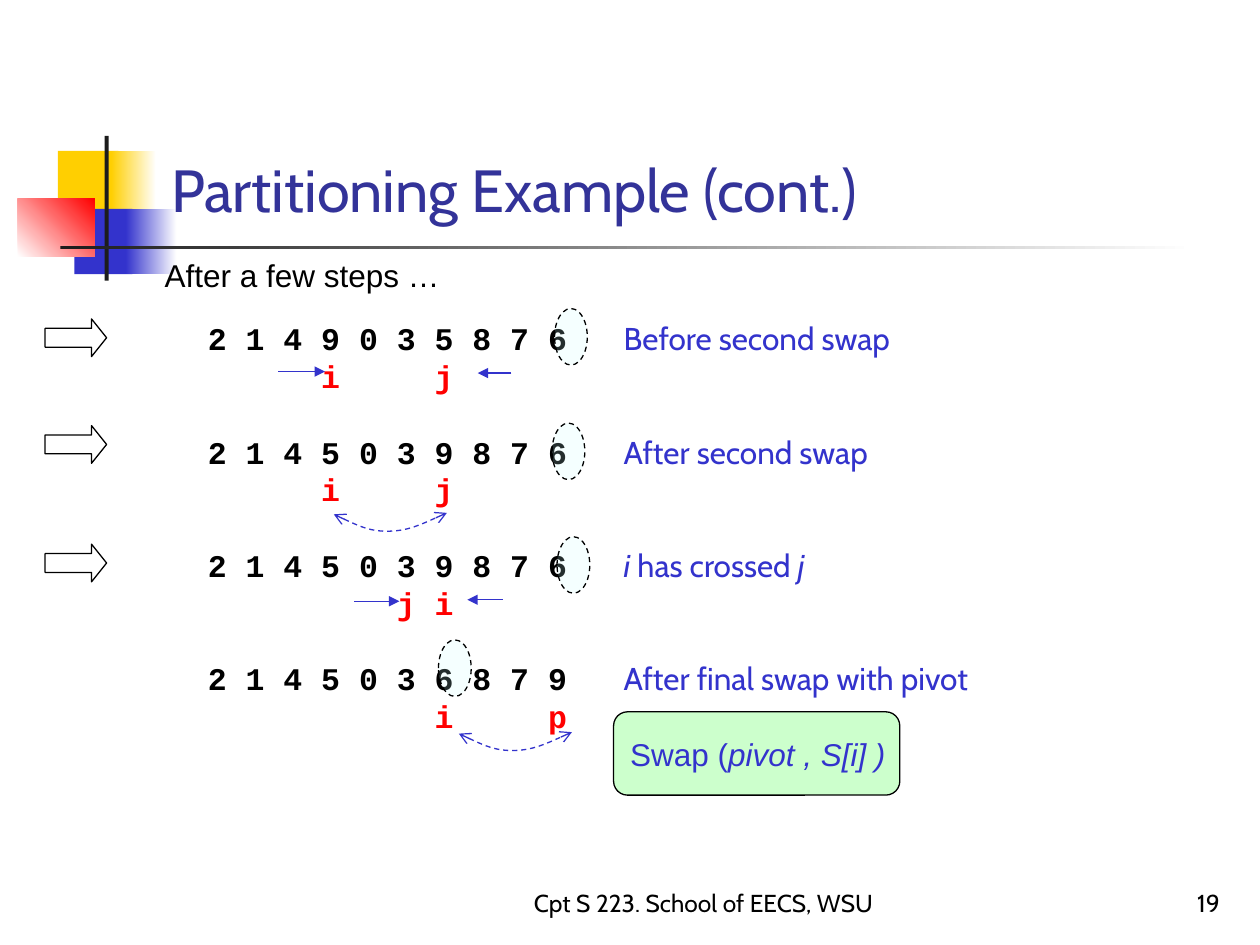
from lxml import etree
from pptx import Presentation
from pptx.dml.color import RGBColor
from pptx.enum.dml import MSO_LINE
from pptx.enum.shapes import MSO_CONNECTOR, MSO_SHAPE
from pptx.enum.text import MSO_ANCHOR, PP_ALIGN
from pptx.oxml.ns import qn
from pptx.util import Cm, Pt

BLACK = RGBColor(0x00, 0x00, 0x00)
WHITE = RGBColor(0xFF, 0xFF, 0xFF)
INK = RGBColor(0x1C, 0x1C, 0x1C)
YELLOW = RGBColor(0xFF, 0xCF, 0x01)
RED = RGBColor(0xFF, 0x00, 0x00)
BLUE = RGBColor(0x33, 0x33, 0xCC)
NAVY = RGBColor(0x33, 0x33, 0x99)
AQUA = RGBColor(0xCC, 0xFF, 0xFF)
GREEN = RGBColor(0xCC, 0xFF, 0xCC)

COLUMN = 0.762   # one digit and its space, Courier New 18 pt
CAPTION = 11 * COLUMN
ROW = 2.29
LINE = Pt(21.6)

# digits, caption runs (text, italic), markers (column, letter),
# ellipse offset, row arrow drop, pointers (from x, to x, y), swap curve offset
STEPS = [
    ("2 1 4 9 0 3 5 8 7 6", [("Before second swap", False)], [(3, "i"), (6, "j")],
     (7.24, 0), 0.21, [(1.67, 2.61, 1.27), (6.37, 5.69, 1.3)], None),
    ("2 1 4 5 0 3 9 8 7 6", [("After second swap", False)], [(3, "i"), (6, "j")],
     (7.19, 0.02), 0.07, [], (2.79, 1.83)),
    ("2 1 4 5 0 3 9 8 7 6", [("i ", True), ("has crossed ", False), ("j", True)],
     [(5, "j"), (6, "i")],
     (7.29, 0.02), 0.17, [(6.19, 5.48, 1.29), (3.2, 4.11, 1.32)], None),
    ("2 1 4 5 0 3 6 8 7 9", [("After final swap with pivot", False)], [(6, "i"), (9, "p")],
     (4.9, -0.19), None, [], (5.31, 1.67)),
]
# Bezier points of a swap curve: start, then two groups of three
CURVE = [(0, 0.03), (0.36, 0.2), (0.73, 0.38), (1.12, 0.37),
         (1.5, 0.36), (1.88, 0.18), (2.28, 0)]


def set_font(font, name, size, color, bold=False):
    font.name, font.size, font.bold = name, Pt(size), bold
    font.color.rgb = color


def add_box(s, x, y, w, h, shape=MSO_SHAPE.RECTANGLE, fill=None, line=None):
    sp = s.shapes.add_shape(shape, Cm(x), Cm(y), Cm(w), Cm(h))
    sp.shadow.inherit = False
    if fill is None:
        sp.fill.background()
    else:
        sp.fill.solid()
        sp.fill.fore_color.rgb = fill
    if line is None:
        sp.line.fill.background()
    else:
        sp.line.color.rgb = line
        sp.line.width = Pt(0.75)
    return sp


def add_gradient(s, x, y, w, h, start, end, angle=0):
    sp = add_box(s, x, y, w, h)
    sp.fill.gradient()
    sp.fill.gradient_angle = angle
    for stop, color in zip(sp.fill.gradient_stops, (start, end)):
        stop.color.rgb = color


def add_text(s, x, y, w, h, text, name, size, color,
             anchor=MSO_ANCHOR.BOTTOM, align=PP_ALIGN.LEFT):
    tf = s.shapes.add_textbox(Cm(x), Cm(y), Cm(w), Cm(h)).text_frame
    tf.word_wrap = True
    tf.vertical_anchor = anchor
    p = tf.paragraphs[0]
    p.text, p.alignment = text, align
    set_font(p.font, name, size, color)


def set_tabs(p, stops):
    tabs = etree.Element(qn("a:tabLst"))
    for stop in stops:
        etree.SubElement(tabs, qn("a:tab"), pos=str(Cm(stop)), algn="l")
    p._p.get_or_add_pPr().append(tabs)


def add_ends(sp, **ends):
    ln = sp.line._get_or_add_ln()
    for tag in ("headEnd", "tailEnd"):
        if tag in ends:
            etree.SubElement(ln, qn("a:" + tag), type=ends[tag])


def add_pointer(s, x1, x2, y):
    c = s.shapes.add_connector(MSO_CONNECTOR.STRAIGHT, Cm(x1), Cm(y), Cm(x2), Cm(y))
    c.line.color.rgb = BLUE
    c.line.width = Pt(0.75)
    add_ends(c, tailEnd="triangle")
    etree.SubElement(c._element.spPr, qn("a:effectLst"))


def add_swap_curve(s, x, y):
    points = [(Cm(x + dx), Cm(y + dy)) for dx, dy in CURVE]
    builder = s.shapes.build_freeform(*points[0])
    builder.add_line_segments(points[1:], close=False)
    sp = builder.convert_to_shape()
    # Join each three points into one cubic segment
    lines = list(sp._element.iter(qn("a:lnTo")))
    for i in range(0, len(lines), 3):
        cubic = etree.Element(qn("a:cubicBezTo"))
        lines[i].addprevious(cubic)
        for segment in lines[i:i + 3]:
            cubic.append(segment[0])
            segment.getparent().remove(segment)
    sp.shadow.inherit = False
    sp.fill.background()
    sp.line.color.rgb = BLUE
    sp.line.width = Pt(0.75)
    sp.line.dash_style = MSO_LINE.DASH
    add_ends(sp, headEnd="arrow", tailEnd="arrow")


def add_pivot_ring(s, x, y):
    sp = add_box(s, x, y, 0.66, 1.14, MSO_SHAPE.OVAL, AQUA, BLACK)
    sp.line.dash_style = MSO_LINE.DASH
    color = sp._element.spPr.find(qn("a:solidFill"))[0]
    etree.SubElement(color, qn("a:alpha"), val="18000")


def add_ornament(s, x, y):
    """Coloured squares with the crossing rules."""
    add_box(s, x + 0.81, y + 0.3, 1.22, 1.32, fill=YELLOW)
    add_gradient(s, x + 1.88, y + 0.3, 0.91, 1.32, YELLOW, WHITE)
    add_box(s, x + 1.14, y + 1.47, 1.17, 1.32, fill=BLUE)
    add_gradient(s, x + 2.18, y + 1.47, 1.02, 1.32, BLUE, WHITE)
    add_gradient(s, x, y + 1.27, 1.55, 1.17, WHITE, RED, 45)
    add_box(s, x + 1.75, y, 0.08, 2.92, fill=INK)
    add_gradient(s, x + 0.86, y + 2.21, 22.86, 0.08, INK, WHITE)


def add_steps(s, x, y, w, h):
    """Digits, captions and markers, then the shapes around each row."""
    tf = s.shapes.add_textbox(Cm(x), Cm(y + 0.09), Cm(w), Cm(h)).text_frame
    tf.word_wrap = True
    for i, (digits, caption, markers, *_) in enumerate(STEPS):
        p = tf.add_paragraph() if i else tf.paragraphs[0]
        p.line_spacing = LINE
        p.space_before = LINE if i else Pt(0)
        set_tabs(p, [CAPTION])
        r = p.add_run()
        r.text = digits + "\t"
        set_font(r.font, "Courier New", 18, BLACK, True)
        for text, italic in caption:
            r = p.add_run()
            r.text = text
            set_font(r.font, "Cabin", 18, BLUE)
            r.font.italic = italic

        p = tf.add_paragraph()
        p.line_spacing = LINE
        set_tabs(p, [column * COLUMN for column, _ in markers])
        p.add_run().text = "".join("\t" + letter for _, letter in markers)
        set_font(p.font, "Courier New", 18, RED, True)

    for i, (_, _, _, ring, drop, pointers, swap) in enumerate(STEPS):
        top = y + i * ROW
        for x1, x2, dy in pointers:
            add_pointer(s, x + x1, x + x2, top + dy)
        if drop is not None:
            arrow = add_box(s, x - 3.03, top + drop, 1.24, 0.76,
                            MSO_SHAPE.RIGHT_ARROW, line=BLACK)
            arrow.adjustments[1] = 0.4
        add_pivot_ring(s, x + ring[0], top + ring[1])
        if swap:
            add_swap_curve(s, x + swap[0], top + swap[1])


def add_swap_note(s, x, y, w, h):
    sp = add_box(s, x, y, w, h, MSO_SHAPE.ROUNDED_RECTANGLE, GREEN, BLACK)
    tf = sp.text_frame
    tf.word_wrap = False
    tf.vertical_anchor = MSO_ANCHOR.MIDDLE
    p = tf.paragraphs[0]
    p.alignment = PP_ALIGN.LEFT
    set_font(p.font, "Arial", 18, BLUE)
    for text, italic in (("Swap (", False), ("pivot , S[i] )", True)):
        r = p.add_run()
        r.text, r.font.italic = text, italic


def add_footer(s, y, h):
    add_text(s, 10.16, y, 8.05, h, "Cpt S 223. School of EECS, WSU",
             "Cabin", 14, BLACK, align=PP_ALIGN.CENTER)
    add_text(s, 19.56, y, 5.28, h, "19", "Cabin", 14, BLACK, align=PP_ALIGN.RIGHT)


def main():
    prs = Presentation()
    prs.slide_width, prs.slide_height = Cm(25.4), Cm(19.05)
    s = prs.slides.add_slide(prs.slide_layouts[6])
    add_ornament(s, 0.36, 2.74)
    add_text(s, 3.2, 0.58, 21.64, 4.06, "Partitioning Example (cont.)", "Cabin", 34, NAVY)
    add_steps(s, 3.94, 6.22, 16.64, 8.64)
    add_text(s, 3.07, 5.03, 6.05, 1.02, "After a few steps …", "Arial", 18, BLACK,
             MSO_ANCHOR.TOP)
    add_swap_note(s, 12.37, 14.35, 5.77, 1.68)
    add_footer(s, 17.35, 1.27)
    prs.save("out.pptx")


if __name__ == "__main__":
    main()
